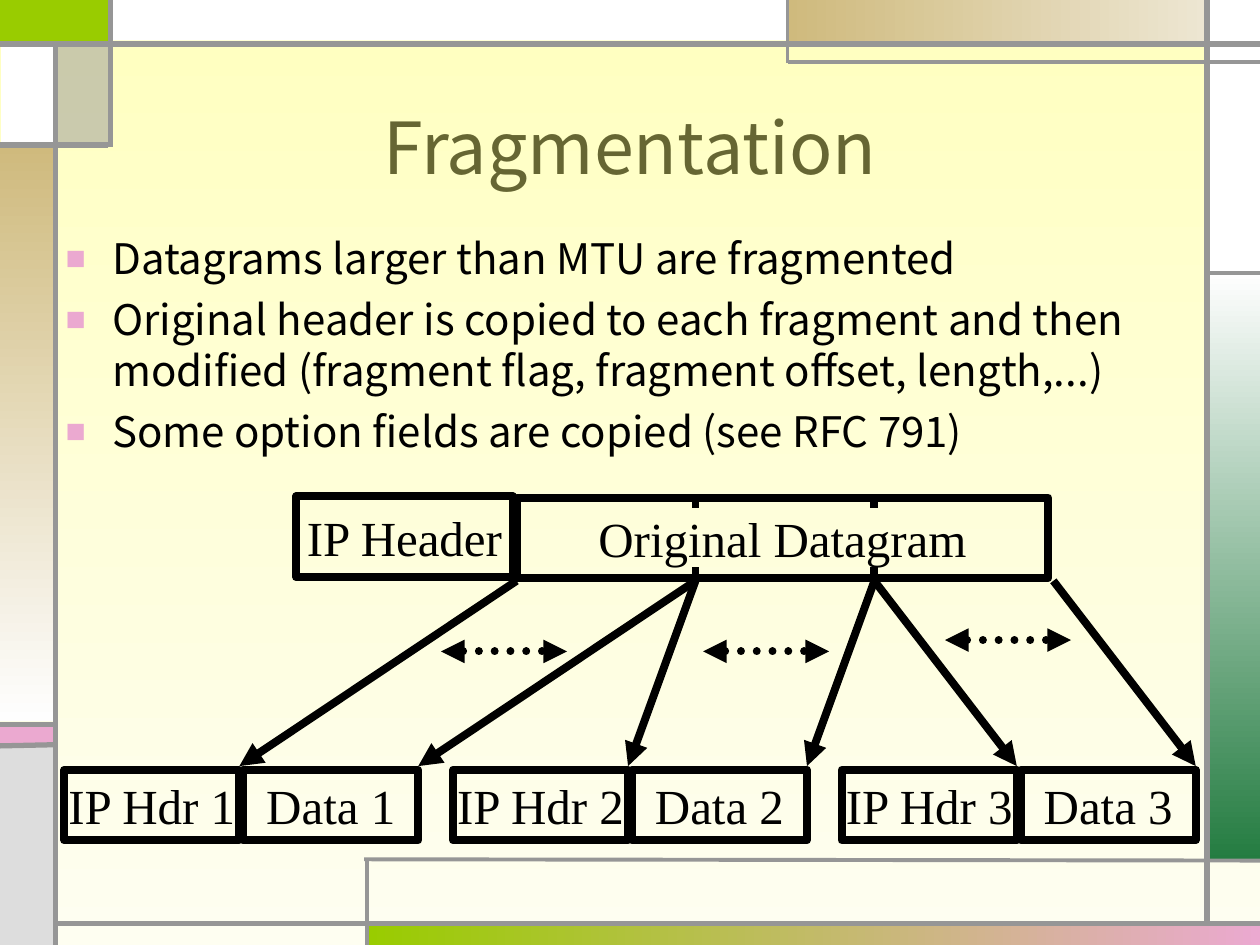
from lxml import etree
from pptx import Presentation
from pptx.dml.color import RGBColor
from pptx.enum.dml import MSO_LINE
from pptx.enum.shapes import MSO_CONNECTOR, MSO_SHAPE
from pptx.enum.text import MSO_ANCHOR, MSO_AUTO_SIZE, PP_ALIGN
from pptx.oxml.ns import qn
from pptx.util import Inches, Pt

RECTANGLE = MSO_SHAPE.RECTANGLE
STRAIGHT = MSO_CONNECTOR.STRAIGHT
ROUND_DOT = MSO_LINE.ROUND_DOT
CENTER = PP_ALIGN.CENTER
MIDDLE, BOTTOM, TOP = MSO_ANCHOR.MIDDLE, MSO_ANCHOR.BOTTOM, MSO_ANCHOR.TOP
NO_AUTOFIT = MSO_AUTO_SIZE.NONE

THEME = {
    "sans": "Noto Sans CJK KR", "serif": "Times New Roman",
    "title_size": 41, "body_size": 24, "label_size": 28,
    "ink": "000000", "title": "666633", "rule": "969696",
    "white": "FFFFFF", "fade": "FEFEFE", "gray": "DDDDDD",
    "lime": "99CC00", "pink": "EBA9D0", "green": "247C41",
    "tan": "CFBA7D", "cream": "EDE6D2",
    "page_top": "FFFFBF", "page_bottom": "FEFEF1",
}


def paint(fill, colors, angle=0):
    """Fill with one theme colour, or with a two-colour gradient at a clockwise angle."""
    if len(colors) == 1:
        fill.solid()
        fill.fore_color.rgb = RGBColor.from_string(THEME[colors[0]])
        return
    fill.gradient()
    fill.gradient_angle = 360 - angle
    for stop, color in zip(fill.gradient_stops, colors):
        stop.color.rgb = RGBColor.from_string(THEME[color])


def draw_line(start, end, color="ink", width=4.5, ends=(), dotted=False):
    """Draw a straight line; ends names the arrowheads: headEnd at start, tailEnd at end."""
    connector = page.shapes.add_connector(
        STRAIGHT, *[Inches(value) for value in (*start, *end)])
    connector.line.color.rgb = RGBColor.from_string(THEME[color])
    connector.line.width = Pt(width)
    outline = connector.line._get_or_add_ln()
    if dotted:
        connector.line.dash_style = ROUND_DOT
        outline.set("cap", "rnd")
    for end_name in ends:
        etree.SubElement(outline, qn("a:" + end_name), type="triangle")
    etree.SubElement(connector._element.spPr, qn("a:effectLst"))


deck = Presentation()
deck.slide_width, deck.slide_height = Inches(10), Inches(7.5)
page = deck.slides.add_slide(deck.slide_layouts[1])
paint(page.background.fill, ("page_top", "page_bottom"), 90)

# Frame of coloured panels and gray rules
panels = [
    ((0, 0, 0.87, 0.34), ("lime",), 0),
    ((2.92, 7.33, 7.08, 0.17), ("pink", "lime"), 180),
    ((9.58, 2.17, 0.42, 4.66), ("fade", "green"), 90),
    ((0, 5.75, 0.42, 0.17), ("pink",), 0),
    ((0, 5.93, 0.42, 1.57), ("gray",), 0),
    ((9.58, 0, 0.42, 2.16), ("white",), 0),
    ((6.25, 0, 3.33, 0.33), ("cream", "tan"), 180),
    ((0.46, 0.33, 0.42, 0.82), ("rule",), 0),
    ((0, 1.15, 0.42, 4.57), ("tan", "fade"), 90),
    ((0.01, 0.33, 0.42, 0.82), ("white",), 0),
    ((0.86, 0, 5.39, 0.32), ("white",), 0),
]
for place, colors, angle in panels:
    panel = page.shapes.add_shape(RECTANGLE, *[Inches(value) for value in place])
    panel.shadow.inherit = False
    panel.line.fill.background()
    paint(panel.fill, colors, angle)
    if colors == ("rule",):
        tint = panel._element.spPr.find(".//" + qn("a:srgbClr"))
        etree.SubElement(tint, qn("a:alpha"), val="50000")

rules = {
    3: [((0.44, 7.5), (0.44, 0.33)), ((0.44, 7.33), (10, 7.33)),
        ((9.58, 7.33), (9.58, 0)), ((0, 0.35), (10, 0.35)),
        ((0.88, 0), (0.88, 1.17)), ((0.86, 1.15), (0, 1.15)),
        ((0.46, 5.75), (0, 5.75)), ((0.46, 5.91), (0, 5.92))],
    2.25: [((10, 0.49), (6.25, 0.49)), ((6.25, 0.5), (6.25, 0)),
           ((9.58, 2.17), (10, 2.17)), ((2.91, 7.5), (2.91, 6.81)),
           ((2.89, 6.82), (10, 6.83))],
}
for width, segments in rules.items():
    for start, end in segments:
        draw_line(start, end, "rule", width)

# Title and bullet list
title, body = page.shapes.title, page.placeholders[1]
texts = [
    (title, (0.5, 0.3, 9, 1.25), BOTTOM, "title", ["Fragmentation"]),
    (body, (0.42, 1.79, 9.09, 2.67), TOP, "ink", [
        "Datagrams larger than MTU are fragmented",
        "Original header is copied to each fragment and then modified "
        "(fragment flag, fragment offset, length,...)",
        "Some option fields are copied (see RFC 791)"]),
]
for holder, place, anchor, color, lines in texts:
    for name, value in zip(("left", "top", "width", "height"), place):
        setattr(holder, name, Inches(value))
    frame = holder.text_frame
    frame.text = "\n".join(lines)
    frame.auto_size, frame.vertical_anchor, frame.word_wrap = NO_AUTOFIT, anchor, True
    for index, para in enumerate(frame.paragraphs):
        if holder is body:
            props = para._p.get_or_add_pPr()
            props.set("marL", str(Inches(0.37)))
            props.set("indent", str(-Inches(0.37)))
            bullet_color = etree.SubElement(props, qn("a:buClr"))
            etree.SubElement(bullet_color, qn("a:srgbClr"), val=THEME["pink"])
            etree.SubElement(props, qn("a:buSzPct"), val="80000")
            etree.SubElement(props, qn("a:buChar"), char="■")
            para.line_spacing = Pt(29)
            para.space_before = Pt(6 if index else 0)
        para.font.name = THEME["sans"]
        para.font.size = Pt(THEME["title_size" if holder is title else "body_size"])
        para.font.color.rgb = RGBColor.from_string(THEME[color])

# Datagram above, three fragments below
COLUMN = 1.42
CUTS = [4.1 + COLUMN * index for index in range(4)]
FRAGMENTS = [0.51 + 3.085 * index for index in range(3)]
CUT_Y, FRAGMENT_Y = 4.61, 6.11

boxes = [("IP Header", 2.35, 3.94, 1.72, 0.64),
         ("Original Datagram", CUTS[0], 3.95, 4.22, 0.64)]
for number, left in enumerate(FRAGMENTS, 1):
    boxes += [(f"IP Hdr {number}", left, FRAGMENT_Y, 1.39, 0.56),
              (f"Data {number}", left + COLUMN, FRAGMENT_Y, 1.39, 0.56)]
for label, *place in boxes:
    box = page.shapes.add_shape(RECTANGLE, *[Inches(value) for value in place])
    box.shadow.inherit = False
    box.fill.background()
    box.line.color.rgb = RGBColor.from_string(THEME["ink"])
    box.line.width = Pt(4.5)
    frame = box.text_frame
    frame.text, frame.word_wrap, frame.vertical_anchor = label, False, MIDDLE
    para = frame.paragraphs[0]
    para.alignment = CENTER
    para.font.name = THEME["serif"]
    para.font.size = Pt(THEME["label_size"])
    para.font.color.rgb = RGBColor.from_string(THEME["ink"])

for index, left in enumerate(FRAGMENTS):
    for side in range(2):
        draw_line((CUTS[index + side], CUT_Y), (left + 1.39 + COLUMN * side, 6.08),
                  ends=["tailEnd"])
for cut in CUTS[1:3]:
    for bottom in (CUT_Y, 4.03):
        draw_line((cut, bottom), (cut, bottom - 0.11))
for left, level in ((3.5, 5.17), (5.58, 5.17), (7.5, 5.08)):
    draw_line((left, level), (left + 1, level), ends=["headEnd", "tailEnd"], dotted=True)

deck.save("out.pptx")
